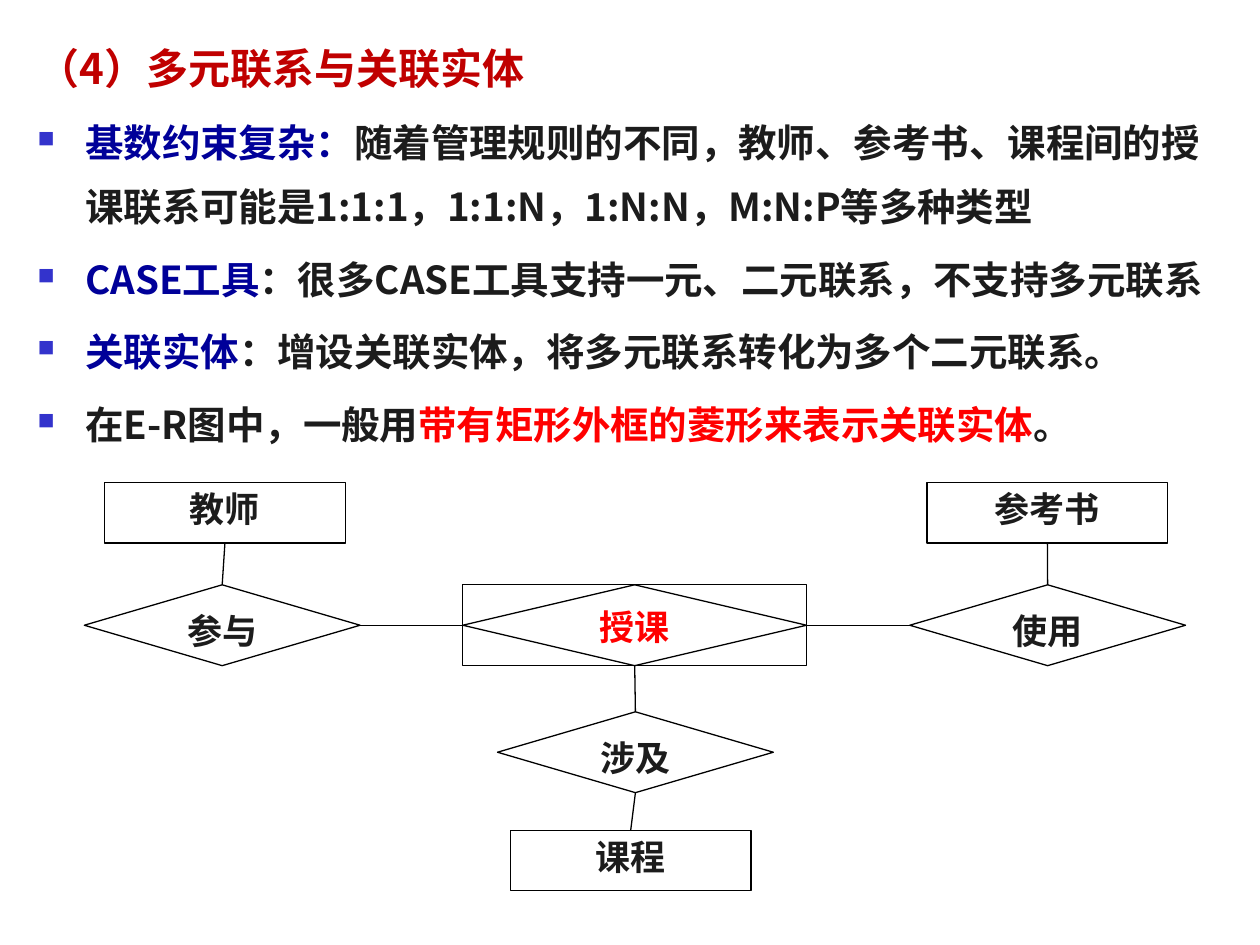
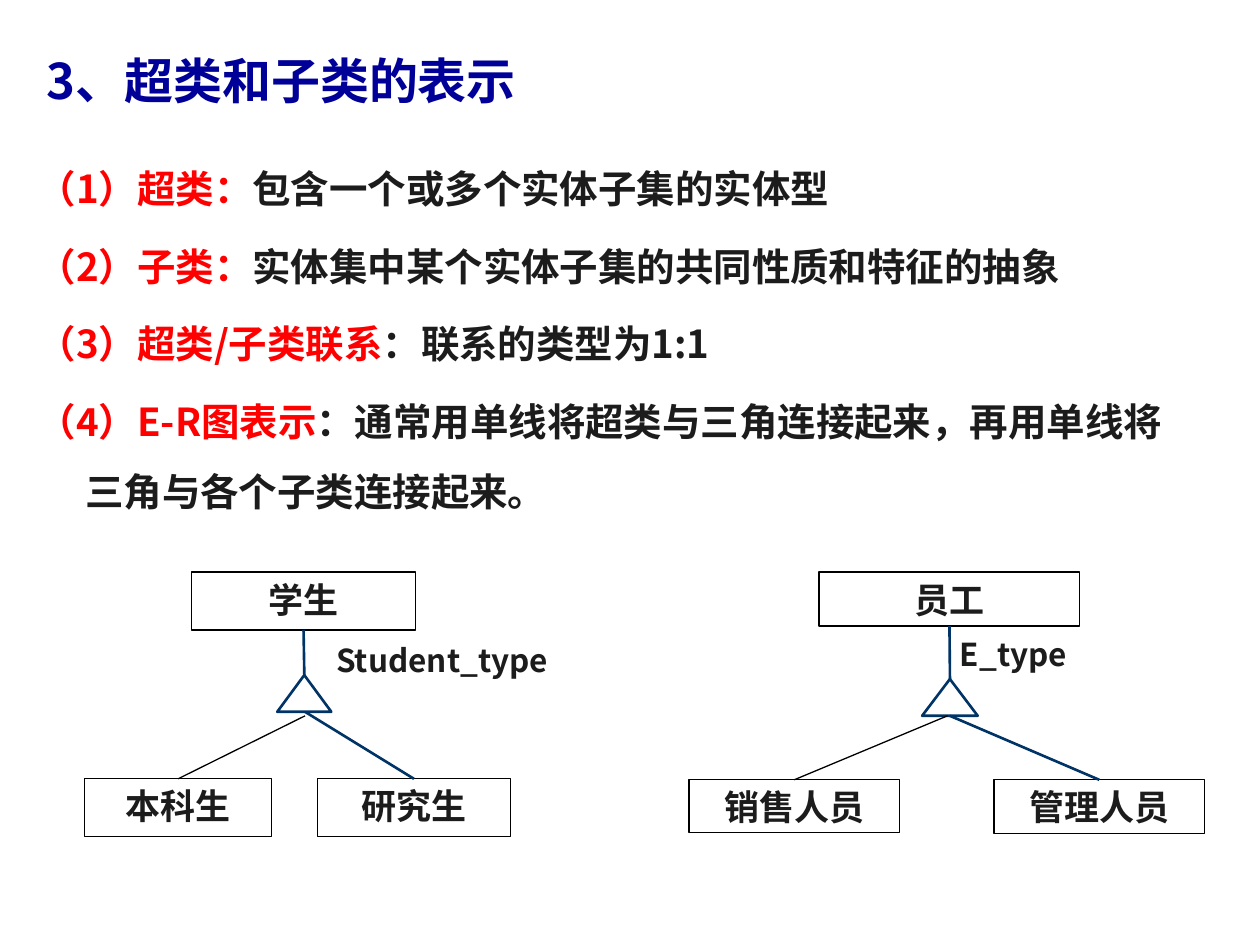
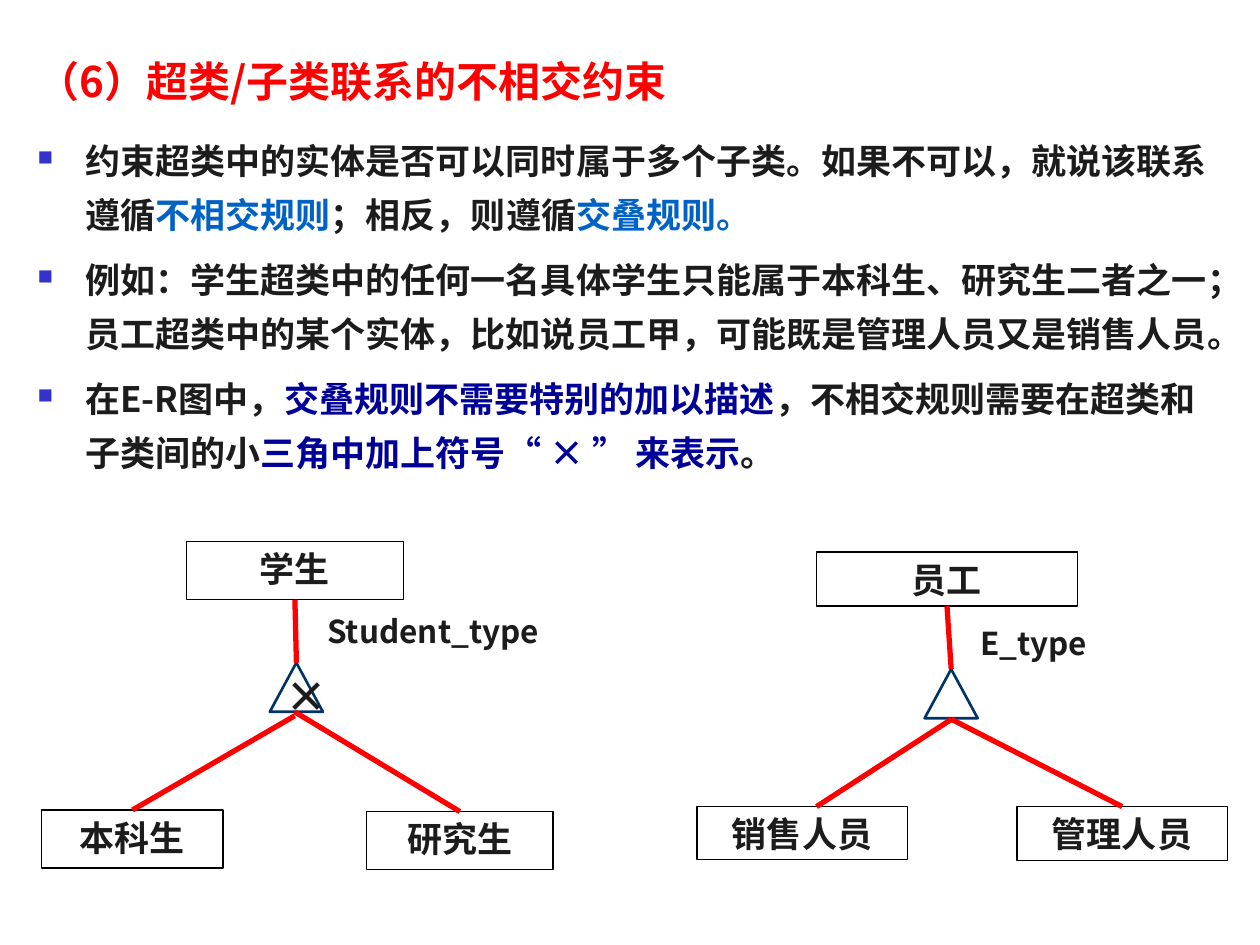
import lxml.etree
import pptx
import pptx.dml.color
import pptx.enum.shapes
import pptx.enum.text
import pptx.oxml.ns
import pptx.util

Cm = pptx.util.Cm
SHAPES = pptx.enum.shapes.MSO_SHAPE
ALIGN = pptx.enum.text.PP_ALIGN
qn = pptx.oxml.ns.qn

THEME = {
    "font": "Noto Sans CJK SC",
    "ink": "1C1C1C", "navy": "000099", "red": "FF0000", "crimson": "C00000",
    "blue": "0062C4", "bullet": "3333CC", "white": "FFFFFF",
    "title": 28, "heading": 24, "body": 22, "label": 20, "note": 18,
    "line_height": 1.2,
    "hang": Cm(0.96),
    "thin": ("000000", 0.75), "steel": ("003366", 1.5), "bold": ("FF0000", 3),
}


def add_box(page, at, paras=(), kind=None, edge="thin", filled=True, frame_format=None):
    at = [Cm(length) for length in at]
    if kind is None:
        box = page.shapes.add_textbox(*at)
    else:
        box = page.shapes.add_shape(kind, *at)
        box.shadow.inherit = False
        color, width = THEME[edge]
        box.line.color.rgb = pptx.dml.color.RGBColor.from_string(color)
        box.line.width = pptx.util.Pt(width)
        if filled:
            box.fill.solid()
            box.fill.fore_color.rgb = pptx.dml.color.RGBColor.from_string(THEME["white"])
        else:
            box.fill.background()
    frame = box.text_frame
    settings = {"word_wrap": True, "vertical_anchor": pptx.enum.text.MSO_ANCHOR.TOP}
    for name, value in (settings | (frame_format or {})).items():
        setattr(frame, name, value)
    for index, look in enumerate(paras):
        para = frame.add_paragraph() if index else frame.paragraphs[0]
        props = para._p.get_or_add_pPr()
        if look.get("hang"):
            props.set("marL", str(THEME["hang"]))
            props.set("indent", str(-THEME["hang"]))
        if look.get("bullet"):
            tint = lxml.etree.SubElement(props, qn("a:buClr"))
            lxml.etree.SubElement(tint, qn("a:srgbClr"), val=THEME["bullet"])
            lxml.etree.SubElement(props, qn("a:buSzPct"), val="60000")
            lxml.etree.SubElement(props, qn("a:buChar"), char="■")
        size = THEME[look["size"]]
        leading = round(size * THEME["line_height"] * look.get("leading", 1))
        para_format = {
            "alignment": look.get("align", ALIGN.LEFT),
            "line_spacing": pptx.util.Pt(leading),
            "space_before": pptx.util.Pt(look.get("before", 0) if index else 0),
            "space_after": pptx.util.Pt(look.get("after", 0)),
        }
        for name, value in para_format.items():
            setattr(para, name, value)
        for text, color in look["spans"]:
            span = para.add_run()
            span.text = text
            font_format = {"size": pptx.util.Pt(size), "bold": True, "name": THEME["font"]}
            for name, value in font_format.items():
                setattr(span.font, name, value)
            span.font.color.rgb = pptx.dml.color.RGBColor.from_string(THEME[color])
            lxml.etree.SubElement(span._r.get_or_add_rPr(), qn("a:ea"), typeface=THEME["font"])
    return box


def add_line(page, begin, end, edge="thin"):
    points = [(0, 0) if hasattr(spot[0], "shape_id") else spot for spot in (begin, end)]
    (x1, y1), (x2, y2) = points
    line = page.shapes.add_connector(
        pptx.enum.shapes.MSO_CONNECTOR.STRAIGHT, Cm(x1), Cm(y1), Cm(x2), Cm(y2))
    for spot, join in ((begin, line.begin_connect), (end, line.end_connect)):
        if hasattr(spot[0], "shape_id"):
            join(*spot)
    color, width = THEME[edge]
    line.line.color.rgb = pptx.dml.color.RGBColor.from_string(color)
    line.line.width = pptx.util.Pt(width)
    lxml.etree.SubElement(line._element.spPr, qn("a:effectLst"))


deck = pptx.Presentation()
deck.slide_width, deck.slide_height = Cm(25.4), Cm(19.05)
pages = [deck.slides.add_slide(deck.slide_layouts[6]) for _ in range(3)]
relation_page, subtype_page, disjoint_page = pages

centered = {"size": "label", "align": ALIGN.CENTER}

item = {"size": "body", "leading": 1.4, "before": 4.4, "hang": True, "bullet": True}
add_box(relation_page, (0.51, 0.33, 24.61, 9.02), [
    item | {"size": "heading", "bullet": False, "spans": [("（4）多元联系与关联实体", "crimson")]},
    item | {"spans": [
        ("基数约束复杂：", "navy"),
        ("随着管理规则的不同，教师、参考书、课程间的授课联系可能是1:1:1，1:1:N，1:N:N，M:N:P等多种类型", "ink")]},
    item | {"spans": [
        ("CASE工具", "navy"),
        ("：很多CASE工具支持一元、二元联系，不支持多元联系", "ink")]},
    item | {"spans": [
        ("关联实体", "navy"),
        ("：增设关联实体，将多元联系转化为多个二元联系。", "ink")]},
    item | {"spans": [
        ("在E-R图中，一般用", "ink"),
        ("带有矩形外框的菱形来表示关联实体", "red"),
        ("。", "ink")]},
])

teaching_at = (9.33, 11.79, 6.93, 1.63)
add_box(relation_page, teaching_at, [centered | {"spans": [("授课", "red")]}], SHAPES.DIAMOND,
        frame_format={"margin_top": 0, "margin_bottom": 0})
nodes = {"授课": add_box(relation_page, teaching_at, kind=SHAPES.RECTANGLE, filled=False)}
for kind, size, places in (
    (SHAPES.RECTANGLE, (4.85, 1.22),
     {"教师": (2.11, 9.73), "参考书": (18.69, 9.73), "课程": (10.29, 16.74)}),
    (SHAPES.DIAMOND, (5.56, 1.63),
     {"参与": (1.7, 11.79), "使用": (18.34, 11.79), "涉及": (10.03, 14.35)}),
):
    for name, corner in places.items():
        nodes[name] = add_box(
            relation_page, corner + size, [centered | {"spans": [(name, "ink")]}], kind,
            frame_format={"margin_top": Cm(0.1), "margin_bottom": Cm(0.1)})
for start, start_side, finish, finish_side in (
    ("参与", 3, "授课", 1), ("授课", 3, "使用", 1), ("使用", 0, "参考书", 2),
    ("授课", 2, "涉及", 0), ("涉及", 2, "课程", 0), ("参与", 0, "教师", 2),
):
    add_line(relation_page, (nodes[start], start_side), (nodes[finish], finish_side))

add_box(subtype_page, (0.69, 0.53, 21.64, 1.8),
        [{"size": "title", "spans": [("3、超类和子类的表示", "navy")]}],
        frame_format={"vertical_anchor": pptx.enum.text.MSO_ANCHOR.BOTTOM})
definitions = (
    ("（1）超类：", "包含一个或多个实体子集的实体型"),
    ("（2）子类：", "实体集中某个实体子集的共同性质和特征的抽象"),
    ("（3）超类/子类联系", "：联系的类型为1:1"),
    ("（4）E-R图表示", "：通常用单线将超类与三角连接起来，再用单线将三角与各个子类连接起来。"),
)
add_box(subtype_page, (0.51, 2.72, 23.8, 8.41), [
    {"size": "body", "leading": 1.5, "before": 4.4, "hang": True,
     "spans": [(term, "red"), (meaning, "ink")]}
    for term, meaning in definitions
])

item = {"size": "label", "leading": 1.3, "after": 6, "hang": True, "bullet": True}
add_box(disjoint_page, (0.51, 0.71, 24.21, 10.41), [
    item | {"size": "heading", "after": 12, "bullet": False,
            "spans": [("（6）超类/子类联系的不相交约束", "red")]},
    item | {"spans": [
        ("约束超类中的实体是否可以同时属于多个子类。如果不可以，就说该联系遵循", "ink"),
        ("不相交规则", "blue"), ("；相反，则遵循", "ink"), ("交叠规则。", "blue")]},
    item | {"spans": [
        ("例如：学生超类中的任何一名具体学生只能属于本科生、研究生二者之一；"
         "员工超类中的某个实体，比如说员工甲，可能既是管理人员又是销售人员。", "ink")]},
    item | {"spans": [
        ("在E-R图中，", "ink"), ("交叠规则不需要特别的加以描述", "navy"),
        ("，不相交规则需要在超类和子类间的小", "ink"),
        ("三角中加上符号“ × ” 来表示", "navy"), ("。", "ink")]},
])

student = ("学生", "Student_type", "本科生", "研究生")
staff = ("员工", "E_type", "销售人员", "管理人员")
trees = (
    {"page": subtype_page, "names": student, "stem": "steel",
     "parent": (3.86, 11.53, 4.52, 1.17), "note": (6.53, 12.78, 6.17, 1.17),
     "triangle": (5.59, 13.61, 1.09, 0.74),
     "children": ((1.7, 15.7, 3.78, 1.17), (6.4, 15.7, 3.89, 1.17)),
     "forks": ((6.15, 14.43), (6.15, 14.35)), "legs": ("thin", "steel")},
    {"page": subtype_page, "names": staff, "stem": "steel",
     "parent": (16.51, 11.53, 5.26, 1.09), "note": (19.1, 12.67, 3.78, 1.09),
     "triangle": (18.59, 13.69, 1.12, 0.74),
     "children": ((13.89, 15.72, 4.24, 1.07), (20.04, 15.72, 4.24, 1.09)),
     "forks": ((19.1, 14.43), (19.15, 14.43)), "legs": ("thin", "steel")},
    {"page": disjoint_page, "names": student, "stem": "bold",
     "parent": (3.76, 10.92, 4.37, 1.17), "note": (6.35, 12.19, 5.97, 1.17),
     "triangle": (5.44, 13.36, 1.07, 0.99),
     "children": ((0.84, 16.33, 3.66, 1.17), (7.39, 16.36, 3.76, 1.17)),
     "forks": ((5.94, 14.43), (5.94, 14.35)), "legs": ("bold", "bold")},
    {"page": disjoint_page, "names": staff, "stem": "bold",
     "parent": (16.46, 11.13, 5.26, 1.09), "note": (19.51, 12.45, 3.78, 1.09),
     "triangle": (18.64, 13.49, 1.07, 0.99),
     "children": ((14.05, 16.26, 4.24, 1.07), (20.5, 16.26, 4.24, 1.09)),
     "forks": ((19.18, 14.5), (19.18, 14.5)), "legs": ("bold", "bold"),
     "feet": ((16.46, 16.26), None)},
)
for tree in trees:
    page = tree["page"]
    parent_name, note, *child_names = tree["names"]
    parent = add_box(page, tree["parent"], [centered | {"spans": [(parent_name, "ink")]}],
                     SHAPES.RECTANGLE)
    add_box(page, tree["note"], [{"size": "note", "spans": [(note, "ink")]}])
    triangle = add_box(page, tree["triangle"], kind=SHAPES.ISOSCELES_TRIANGLE,
                       edge="steel", filled=False)
    add_line(page, (parent, 2), (triangle, 0), tree["stem"])
    feet = tree.get("feet", (None, None))
    for name, at, fork, foot, edge in zip(
            child_names, tree["children"], tree["forks"], feet, tree["legs"]):
        child = add_box(page, at, [centered | {"spans": [(name, "ink")]}], SHAPES.RECTANGLE)
        add_line(page, fork, foot or (child, 0), edge)

add_box(disjoint_page, (5.51, 13.11, 0.99, 1.6),
        [{"size": "heading", "leading": 1.3, "after": 6, "align": ALIGN.CENTER,
          "spans": [("×", "ink")]}],
        frame_format={"word_wrap": False,
                      "auto_size": pptx.enum.text.MSO_AUTO_SIZE.SHAPE_TO_FIT_TEXT})

deck.save("out.pptx")
